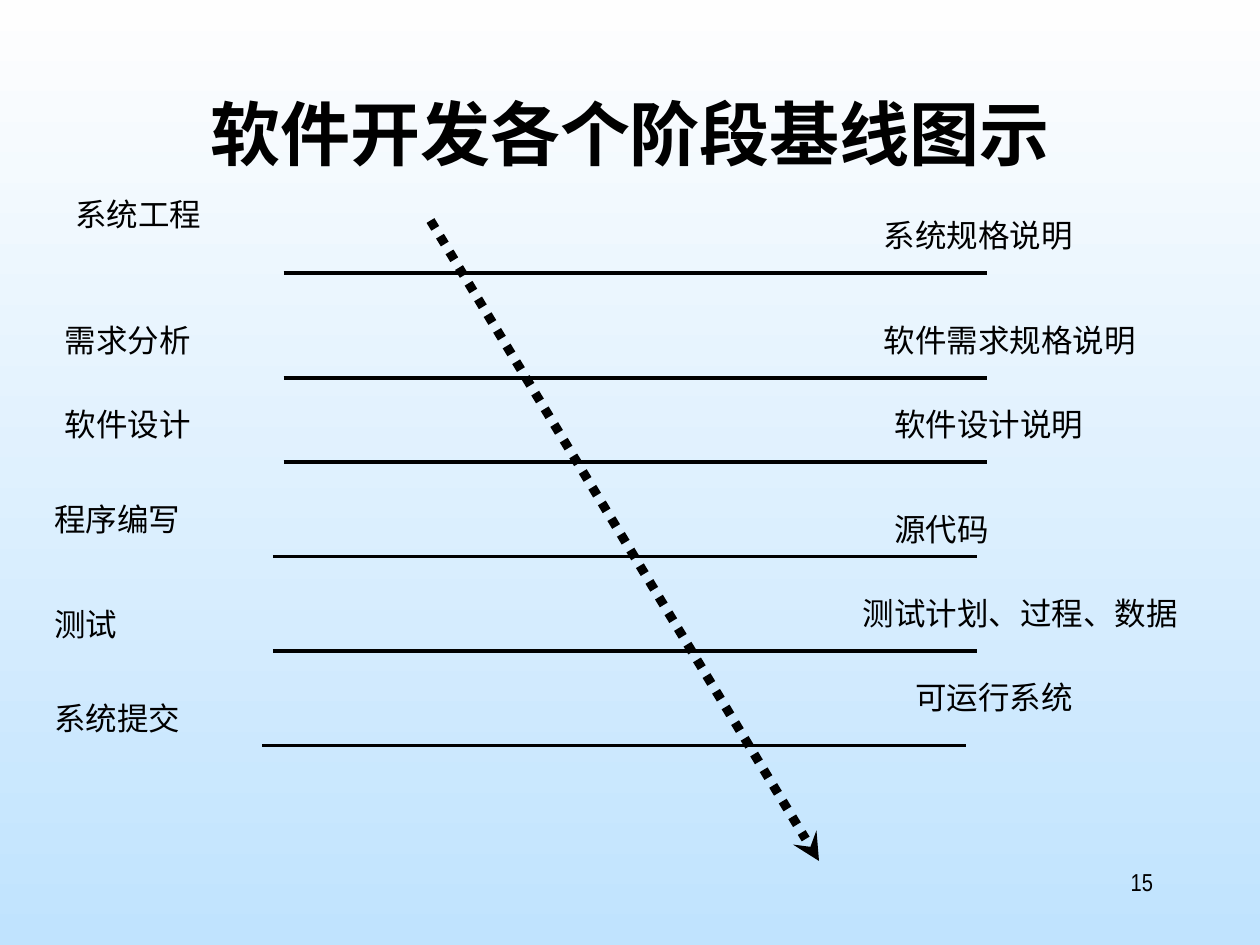
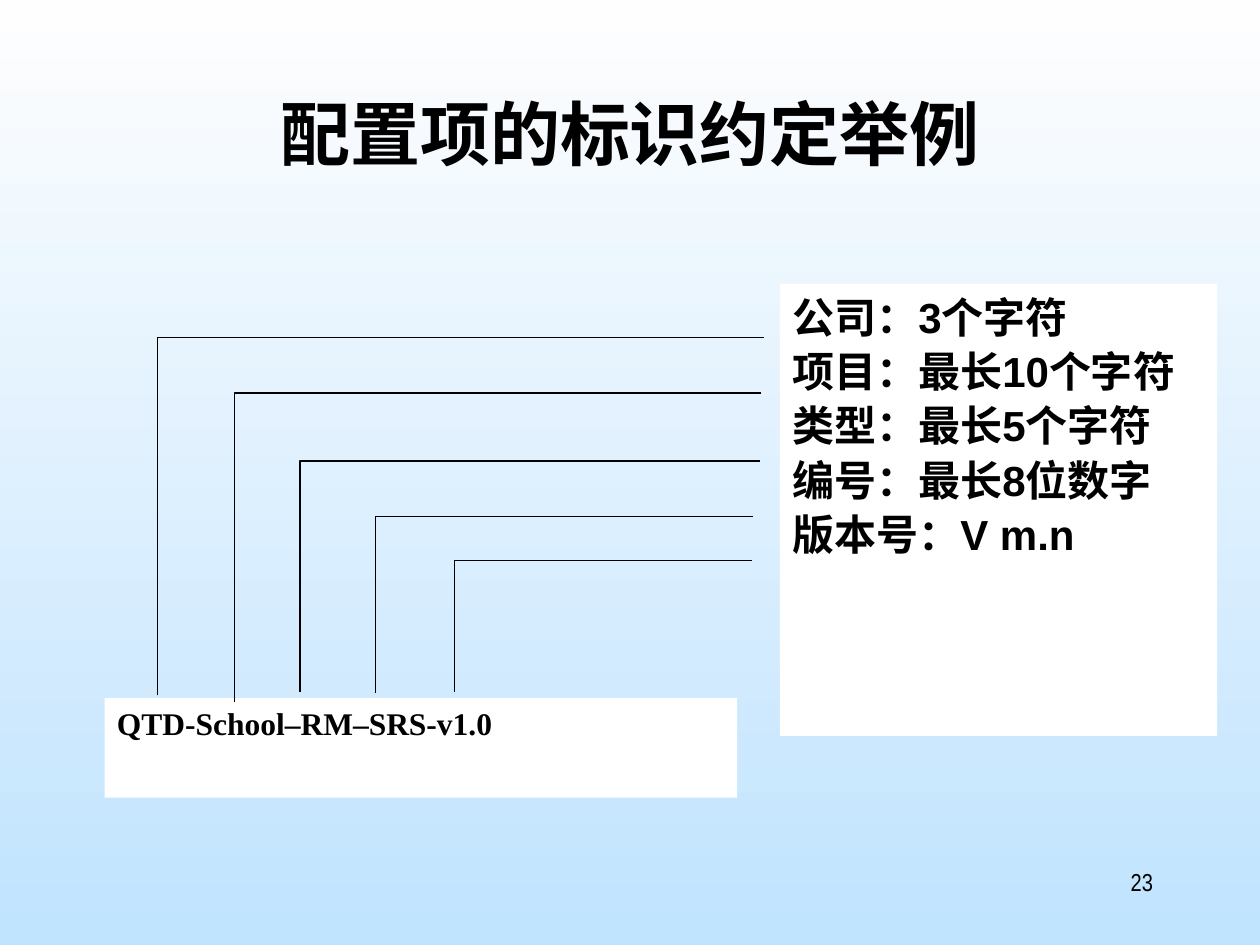
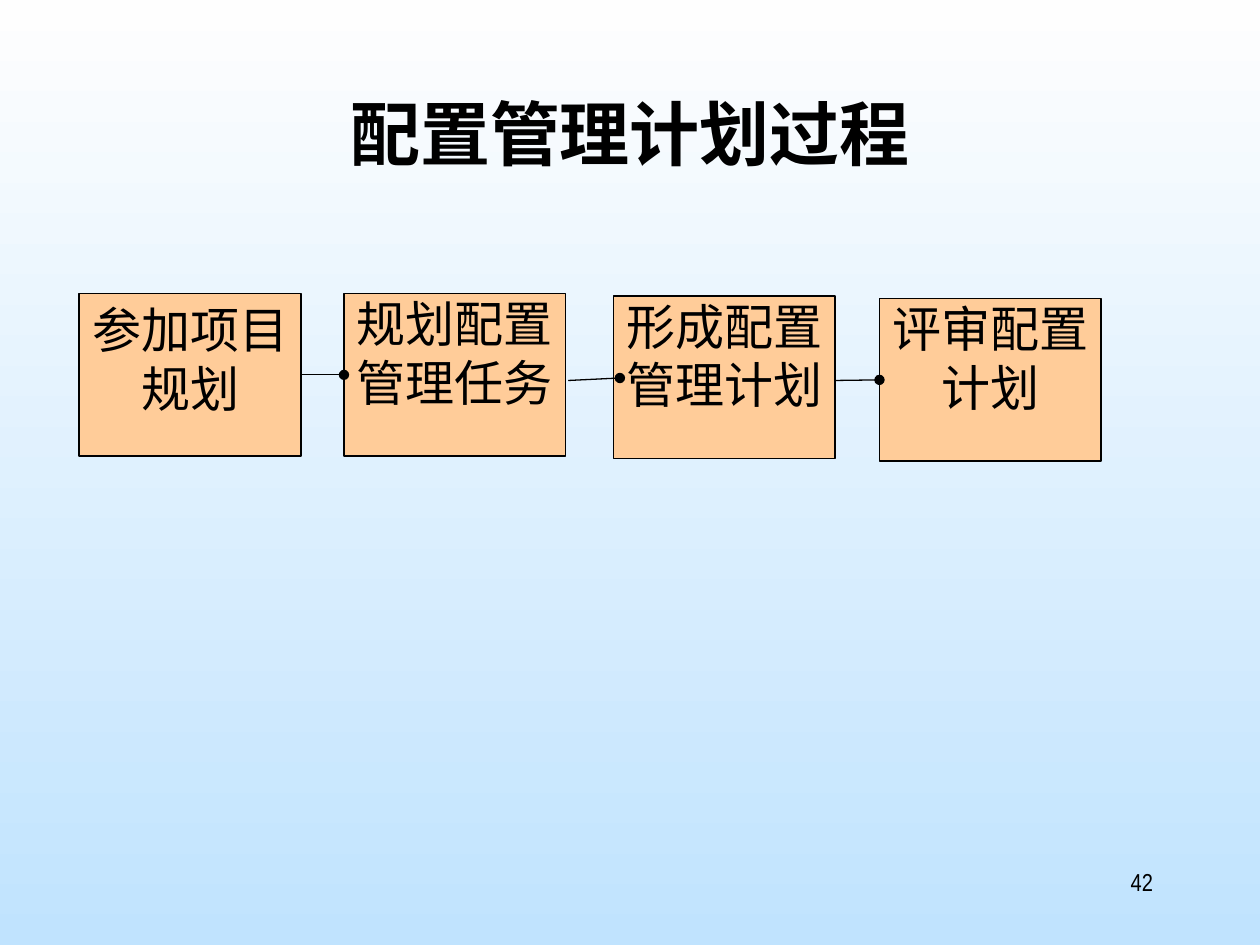
from pptx import Presentation, util as u
from pptx.dml.color import RGBColor
from pptx.enum import shapes, text
from pptx.oxml.ns import qn
from lxml import etree

BLACK = RGBColor(0, 0, 0)
WHITE = RGBColor(0xFF, 0xFF, 0xFF)
SKY_TOP = RGBColor(0xFE, 0xFE, 0xFE)
SKY_BOTTOM = RGBColor(0xC0, 0xE3, 0xFE)
PEACH = RGBColor(0xFF, 0xCC, 0x99)

HEADING, BODY, SERIF = "Noto Sans CJK SC", "Arial Narrow", "Times New Roman"
ALIGN = text.PP_ALIGN


def grid(cells):
    """Twelve grid cells to the inch: 120 columns by 90 rows."""
    return u.Inches(cells / 12)


def write(shape, lines, size, font=BODY, bold=False, align=ALIGN.LEFT,
          margins=(0.1, 0.05), spacing=None, after=None):
    frame = shape.text_frame
    frame.word_wrap = True
    frame.vertical_anchor = text.MSO_ANCHOR.TOP
    frame.margin_left = frame.margin_right = u.Inches(margins[0])
    frame.margin_top = frame.margin_bottom = u.Inches(margins[1])
    frame.text = "\n".join(lines)
    for paragraph in frame.paragraphs:
        paragraph.alignment = align
        if spacing:
            paragraph.line_spacing = spacing
        if after:
            paragraph.space_after = u.Pt(after)
        style = paragraph.font
        style.size, style.bold, style.name = u.Pt(size), bold, font
        style.color.rgb = BLACK
        east_asian = etree.SubElement(paragraph._p.pPr.find(qn("a:defRPr")), qn("a:ea"))
        east_asian.set("typeface", HEADING)


def label(slide, column, row, columns, rows, words, size, **style):
    box = slide.shapes.add_textbox(*map(grid, (column, row, columns, rows)))
    write(box, [words], size, **style)


def panel(slide, left, top, width, height, fill, outline=None):
    box = slide.shapes.add_shape(shapes.MSO_SHAPE.RECTANGLE,
                                 *map(u.Inches, (left, top, width, height)))
    box.shadow.inherit = False
    box.fill.solid()
    box.fill.fore_color.rgb = fill
    if outline:
        box.line.color.rgb = BLACK
        box.line.width = u.Pt(outline)
    else:
        box.line.fill.background()
    return box


def rule(slide, start, end, width, tip=None, dash=None):
    line = slide.shapes.add_connector(shapes.MSO_CONNECTOR.STRAIGHT, *start, *end)
    line.line.color.rgb = BLACK
    line.line.width = u.Pt(width)
    stroke = line.line._get_or_add_ln()
    if dash:
        etree.SubElement(stroke, qn("a:prstDash")).set("val", dash)
    if tip:
        etree.SubElement(stroke, qn("a:tailEnd")).set("type", tip)
    etree.SubElement(line._element.spPr, qn("a:effectLst"))
    return line


def elbow(slide, left, bottom, top, right):
    x, y, turn, end = map(u.Inches, (left, bottom, top, right))
    builder = slide.shapes.build_freeform(x, y)
    builder.add_line_segments([(x, turn), (end, turn)], close=False)
    leader = builder.convert_to_shape()
    leader.shadow.inherit = False
    leader.fill.background()
    leader.line.color.rgb = BLACK
    leader.line.width = u.Pt(0.75)


def new_slide(deck, title, number):
    """Sky background, title and page number."""
    slide = deck.slides.add_slide(deck.slide_layouts[6])
    sky = slide.background.fill
    sky.gradient()
    sky.gradient_angle = 270
    for stop, colour in zip(sky.gradient_stops, (SKY_TOP, SKY_BOTTOM)):
        stop.color.rgb = colour
    label(slide, 9, 8, 102, 15, title, 40, font=HEADING, bold=True, align=ALIGN.CENTER)
    label(slide, 86, 82, 25, 6, str(number), 14, align=ALIGN.RIGHT)
    return slide


def baselines(deck):
    slide = new_slide(deck, "软件开发各个阶段基线图示", 15)
    # Baseline start column and row
    for column, row in [(27, 26), (27, 36), (27, 44), (26, 53), (26, 62), (25, 71)]:
        rule(slide, (grid(column), grid(row)), (grid(column + 67), grid(row)), 2)
    rule(slide, (grid(41), grid(21)), (grid(78), grid(82)), 5.25, "stealth", "sysDot")
    # Phases on the left, their products on the right
    phases = [(6, 18, "系统工程"), (5, 30, "需求分析"), (5, 38, "软件设计"),
              (4, 47, "程序编写"), (4, 57, "测试"), (4, 66, "系统提交")]
    products = [(83, 20, "系统规格说明"), (83, 30, "软件需求规格说明"),
                (84, 38, "软件设计说明"), (84, 48, "源代码"),
                (81, 56, "测试计划、过程、数据"), (86, 64, "可运行系统")]
    for column, row, words in phases + products:
        label(slide, column, row, 34 if column == 81 else 31, 4.8, words, 18)


def naming(deck):
    slide = new_slide(deck, "配置项的标识约定举例", 23)
    identifier = panel(slide, 0.83, 5.54, 5.02, 0.79, WHITE)
    write(identifier, ["QTD-School–RM–SRS-v1.0"], 18, SERIF, True, ALIGN.JUSTIFY)
    parts = panel(slide, 6.19, 2.25, 3.47, 3.59, WHITE)
    write(parts, ["公司：3个字符", "项目：最长10个字符", "类型：最长5个字符",
                  "编号：最长8位数字", "版本号：V m.n"],
          24, "Arial", True, ALIGN.JUSTIFY, spacing=1.04, after=1)
    # Leaders from each part of the identifier to its rule
    for leader in [(1.25, 5.52, 2.68, 6.06), (1.86, 5.57, 3.12, 6.04),
                   (2.38, 5.49, 3.66, 6.03), (2.98, 5.5, 4.1, 5.98),
                   (3.61, 5.49, 4.45, 5.97)]:
        elbow(slide, *leader)


def planning(deck):
    slide = new_slide(deck, "配置管理计划过程", 42)
    steps = []
    for left, top, words, margins in [(0.63, 2.33, "参加项目规划", (0.02, 0.05)),
                                      (2.73, 2.33, "规划配置管理任务", (0, 0)),
                                      (4.87, 2.35, "形成配置管理计划", (0, 0)),
                                      (6.98, 2.37, "评审配置计划", (0, 0))]:
        step = panel(slide, left, top, 1.76, 1.29, PEACH, 1)
        write(step, [words], 28, SERIF, align=ALIGN.CENTER, margins=margins)
        steps.append(step)
    # Links between the steps
    links = [rule(slide, (u.Inches(x1), u.Inches(y1)), (u.Inches(x2), u.Inches(y2)), 0.75, "oval")
             for x1, y1, x2, y2 in [(2.38, 2.98, 2.74, 2.98), (4.51, 3.02, 4.92, 3),
                                    (6.62, 3.02, 6.98, 3.02)]]
    links[0].begin_connect(steps[0], 3)
    links[0].end_connect(steps[1], 1)
    links[2].end_connect(steps[3], 1)


def main():
    deck = Presentation()
    deck.slide_width, deck.slide_height = grid(120), grid(90)
    baselines(deck)
    naming(deck)
    planning(deck)
    deck.save("out.pptx")


if __name__ == "__main__":
    main()
